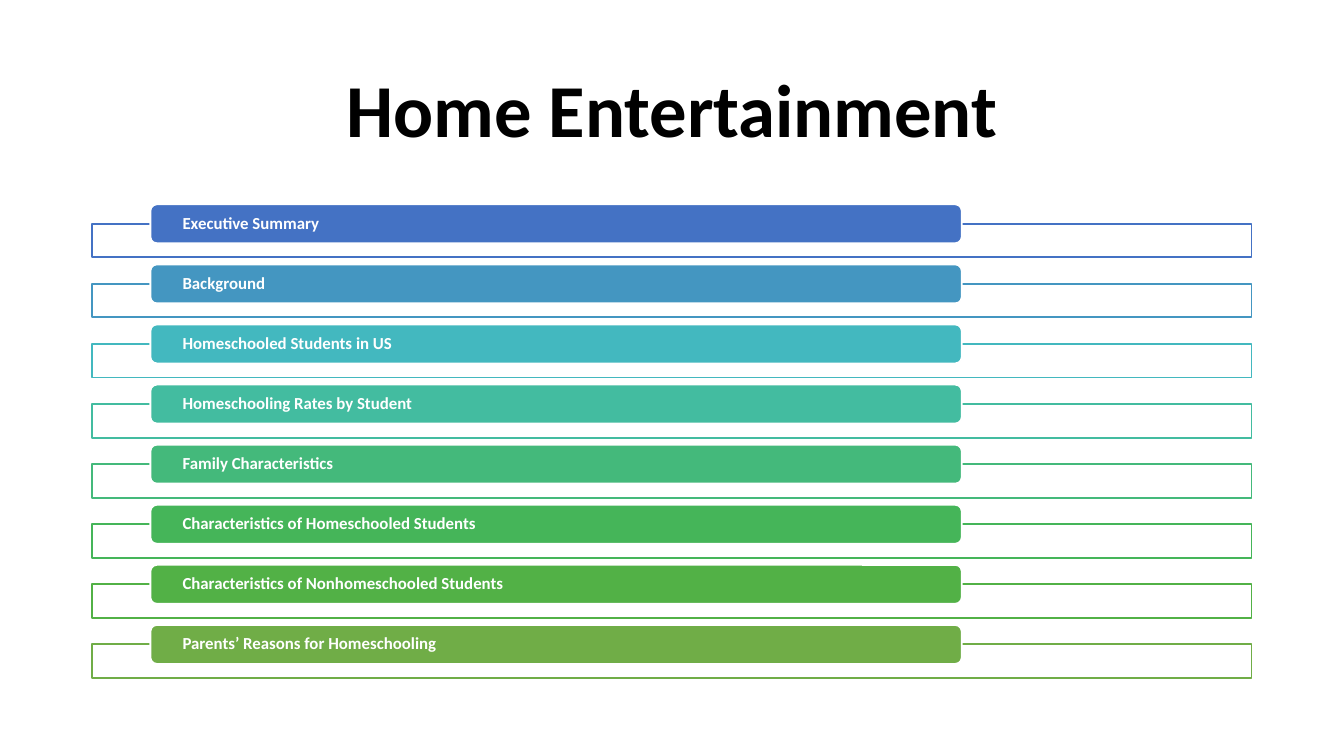
from dataclasses import dataclass

from lxml.etree import SubElement
from pptx import Presentation
from pptx.dml.color import RGBColor
from pptx.enum.shapes import MSO_SHAPE
from pptx.enum.text import MSO_ANCHOR, PP_ALIGN
from pptx.oxml.ns import qn
from pptx.shapes.autoshape import Shape
from pptx.shapes.shapetree import GroupShapes
from pptx.text.text import TextFrame
from pptx.util import Inches, Length, Pt

WIDE = 10
HIGH = WIDE * 9 / 16
SIDE = WIDE * 11 / 160       # left and right margin
SPAN = WIDE - 2 * SIDE       # width of title and frames
FIRST, LAST = 1.52, 4.65     # tops of the first and last bar
BAR_H, FRAME_H = 0.29, 0.25
INSET = 0.01                 # from the bar's edge to its label
FONT = "Calibri"

COLORS = {
    "black": "000000",
    "white": "FFFFFF",
    "blue": "4472C4",
    "steel": "4496C1",
    "cyan": "43B8BF",
    "teal": "43BCA0",
    "mint": "44B97B",
    "green": "45B559",
    "leaf": "52B146",
    "olive": "70AD47",
}


@dataclass
class Topic:
    label: str
    color: str


@dataclass
class Box:
    left: float
    top: float
    width: float
    height: float

    def emu(self) -> list[Length]:
        sides = (self.left, self.top, self.width, self.height)
        return [Inches(side) for side in sides]

    def shrink(self, gap: float) -> "Box":
        return Box(self.left + gap, self.top + gap,
                   self.width - 2 * gap, self.height - 2 * gap)


TOPICS = [
    Topic("Executive Summary", "blue"),
    Topic("Background", "steel"),
    Topic("Homeschooled Students in US", "cyan"),
    Topic("Homeschooling Rates by Student", "teal"),
    Topic("Family Characteristics", "mint"),
    Topic("Characteristics of Homeschooled Students", "green"),
    Topic("Characteristics of Nonhomeschooled Students", "leaf"),
    Topic("Parents’ Reasons for Homeschooling", "olive"),
]
STEP = (LAST - FIRST) / (len(TOPICS) - 1)


def rgb(name: str) -> RGBColor:
    return RGBColor.from_string(COLORS[name])


def write(frame: TextFrame, text: str, size: float, color: str,
          align: PP_ALIGN) -> None:
    """Add one bold run, centred in height."""
    frame.word_wrap = True
    frame.vertical_anchor = MSO_ANCHOR.MIDDLE
    para = frame.paragraphs[0]
    para.alignment = align
    para.line_spacing = 0.9
    run = para.add_run()
    run.text = text
    font = run.font
    font.name, font.size, font.bold = FONT, Pt(size), True
    font.color.rgb = rgb(color)


def draw(shapes: GroupShapes, kind: MSO_SHAPE, box: Box, fill: str,
         line: str) -> Shape:
    shape = shapes.add_shape(kind, *box.emu())
    shape.shadow.inherit = False
    shape.fill.solid()
    shape.fill.fore_color.rgb = rgb(fill)
    shape.line.color.rgb = rgb(line)
    shape.line.width = Pt(1)
    return shape


def fade(shape: Shape, share: int) -> None:
    """Set the opacity of the fill in percent."""
    tint = shape.fill._xPr.find(qn("a:solidFill"))[0]
    SubElement(tint, qn("a:alpha")).set("val", str(share * 1000))


def add_label(shapes: GroupShapes, box: Box, text: str) -> None:
    frame = shapes.add_textbox(*box.emu()).text_frame
    frame.margin_left = frame.margin_right = Inches(0.23)
    frame.margin_top = frame.margin_bottom = 0
    write(frame, text, 9, "white", PP_ALIGN.LEFT)


def add_topic(shapes: GroupShapes, row: int, topic: Topic) -> None:
    """Draw a frame whose top edge runs behind the middle of its bar."""
    top = FIRST + row * STEP
    frame = draw(shapes, MSO_SHAPE.RECTANGLE,
                 Box(SIDE, top + BAR_H / 2, SPAN, FRAME_H),
                 "white", topic.color)
    fade(frame, 90)
    bar = Box(SIDE + SPAN * 0.05, top, SPAN * 0.7, BAR_H)
    draw(shapes, MSO_SHAPE.ROUNDED_RECTANGLE, bar, topic.color, "white")
    add_label(shapes, bar.shrink(INSET), topic.label)


def main() -> None:
    deck = Presentation()
    deck.slide_width, deck.slide_height = Inches(WIDE), Inches(HIGH)
    slide = deck.slides.add_slide(deck.slide_layouts[5])

    title = slide.shapes.title
    place = Box(SIDE, 0.3, SPAN, 1.09)
    title.left, title.top, title.width, title.height = place.emu()
    write(title.text_frame, "Home Entertainment", 40, "black",
          PP_ALIGN.CENTER)

    group = slide.shapes.add_group_shape()
    for row, topic in enumerate(TOPICS):
        add_topic(group.shapes, row, topic)

    deck.save("out.pptx")


if __name__ == "__main__":
    main()
